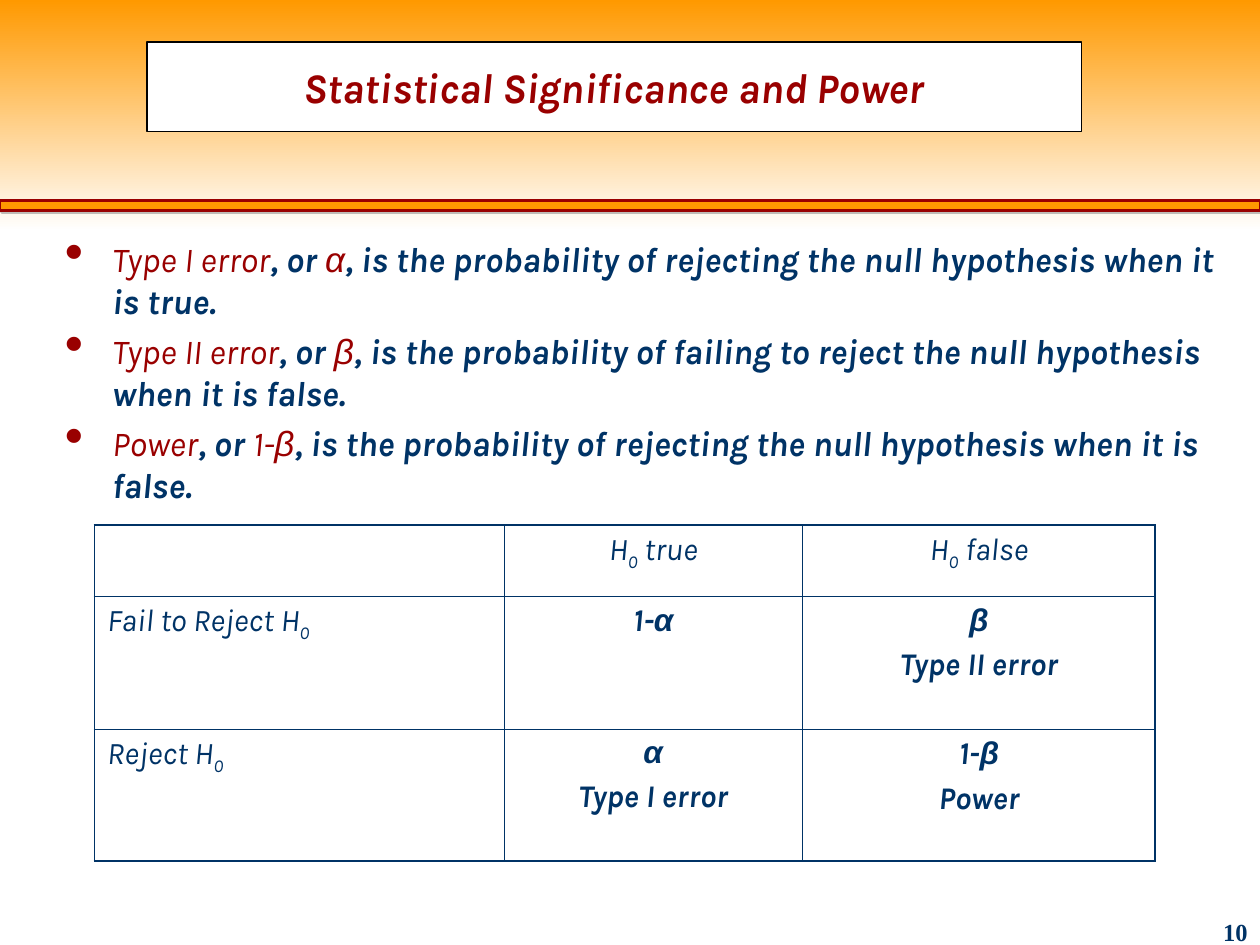
"""Build a slide on statistical significance and power with a decision table."""

from dataclasses import dataclass

from lxml import etree
from pptx import Presentation
from pptx.dml.color import RGBColor
from pptx.enum.shapes import MSO_SHAPE
from pptx.enum.text import MSO_ANCHOR, MSO_AUTO_SIZE, PP_ALIGN
from pptx.oxml.ns import qn
from pptx.util import Pt

RECTANGLE = MSO_SHAPE.RECTANGLE
LEFT, CENTER, RIGHT = PP_ALIGN.LEFT, PP_ALIGN.CENTER, PP_ALIGN.RIGHT
MIDDLE = MSO_ANCHOR.MIDDLE
NO_AUTOFIT = MSO_AUTO_SIZE.NONE
TITLE_ONLY = 5

NAVY, MAROON, ORANGE, WHITE, BLACK = "003366", "990000", "FF9900", "FFFFFF", "000000"
SHADOW_GRAY = "808080"
TEXT_FONT, GREEK_FONT, NUMBER_FONT = "Karla", "Arial", "Times New Roman"
OUTER_BORDER, INNER_BORDER = Pt(1.08), Pt(0.45)
COLUMN_WIDTHS = (234, 170.6, 201.6)
ROW_HEIGHTS = (41, 75.6, 75.6)


@dataclass(frozen=True)
class Piece:
    """A stretch of text in one format."""

    text: str
    bold: bool = True
    color: str = NAVY
    subscript: bool = False
    italic: bool = True
    font: str = TEXT_FONT


@dataclass(frozen=True)
class Definition:
    """A bulleted term with its symbol and meaning."""

    term: str
    symbol: tuple[str, ...]
    meaning: str
    space_before: float


DEFINITIONS = (
    Definition("Type I error", ("α",), "rejecting the null hypothesis when it is true.", 5),
    Definition("Type II error", ("β",), "failing to reject the null hypothesis when it is false.", 5),
    Definition("Power", ("1-", "β"), "rejecting the null hypothesis when it is false.", 4.5),
)


def rgb(color: str) -> RGBColor:
    """Turn a hex string into a colour."""
    return RGBColor.from_string(color)


def add_child(parent, tag: str, **attributes: str):
    """Append a DrawingML element to its parent."""
    return etree.SubElement(parent, qn(tag), attributes)


def write_pieces(paragraph, pieces: tuple[Piece, ...], size: float) -> None:
    """Write formatted pieces into a paragraph."""
    for piece in pieces:
        run = paragraph.add_run()
        run.text = piece.text
        font = run.font
        font.name = GREEK_FONT if piece.text in ("α", "β") else piece.font
        font.size = Pt(size)
        font.bold = piece.bold
        font.italic = piece.italic
        font.color.rgb = rgb(piece.color)
        if piece.subscript:
            font._element.set("baseline", "-25000")


def add_text_frame(slide, left: float, top: float, width: float, height: float):
    """Add a wrapping text box and return its text frame."""
    text_frame = slide.shapes.add_textbox(Pt(left), Pt(top), Pt(width), Pt(height)).text_frame
    text_frame.word_wrap = True
    return text_frame


def add_header(slide) -> None:
    """Draw the gradient header and the rule below it."""
    header = slide.shapes.add_shape(RECTANGLE, 0, 0, Pt(720), Pt(132))
    header.shadow.inherit = False
    header.line.fill.background()
    header.fill.gradient()
    header.fill.gradient_angle = 270
    for stop, color in zip(header.fill.gradient_stops, (ORANGE, WHITE)):
        stop.color.rgb = rgb(color)

    rule = slide.shapes.add_shape(RECTANGLE, 0, Pt(114.5), Pt(720), Pt(6))
    rule.fill.solid()
    rule.fill.fore_color.rgb = rgb(ORANGE)
    rule.line.color.rgb = rgb(MAROON)
    rule.line.width = Pt(1.5)
    rule.shadow.inherit = False
    effects = rule._element.spPr.find(qn("a:effectLst"))
    shadow = add_child(effects, "a:outerShdw", dist=str(Pt(1.4)), dir="2700000")
    shadow_color = add_child(shadow, "a:srgbClr", val=SHADOW_GRAY)
    add_child(shadow_color, "a:alpha", val="50000")


def format_title(slide) -> None:
    """Place the boxed title in front of the header."""
    title = slide.shapes.title
    slide.shapes.element.append(title.element)
    title.left, title.top, title.width, title.height = Pt(84), Pt(24), Pt(534), Pt(51)
    title.fill.solid()
    title.fill.fore_color.rgb = rgb(WHITE)
    title.line.color.rgb = rgb(BLACK)
    title.line.width = Pt(0.75)
    text_frame = title.text_frame
    text_frame.auto_size = NO_AUTOFIT
    text_frame.vertical_anchor = MIDDLE
    text_frame.margin_top = text_frame.margin_bottom = Pt(10.8)
    paragraph = text_frame.paragraphs[0]
    paragraph.alignment = CENTER
    write_pieces(paragraph, (Piece("Statistical Significance and Power", color=MAROON),), 24)


def set_bullet(paragraph) -> None:
    """Give a paragraph a hanging maroon bullet."""
    properties = paragraph._p.get_or_add_pPr()
    properties.set("marL", str(Pt(27)))
    properties.set("indent", str(Pt(-27)))
    add_child(add_child(properties, "a:buClr"), "a:srgbClr", val=MAROON)
    add_child(properties, "a:buSzPct", val="155000")
    add_child(properties, "a:buChar", char="•")


def add_definitions(slide) -> None:
    """Add the bulleted definitions."""
    text_frame = add_text_frame(slide, 30, 132, 672, 161)
    for index, definition in enumerate(DEFINITIONS):
        paragraph = text_frame.add_paragraph() if index else text_frame.paragraphs[0]
        paragraph.space_before = Pt(definition.space_before)
        set_bullet(paragraph)
        symbol = (Piece(part, False, MAROON) for part in definition.symbol)
        pieces = (
            Piece(definition.term, False, MAROON),
            Piece(", or "),
            *symbol,
            Piece(f", is the probability of {definition.meaning}"),
        )
        write_pieces(paragraph, pieces, 20)


def hypothesis(before: str, after: str = "") -> tuple[Piece, ...]:
    """Return a label around the null hypothesis symbol."""
    label = (Piece(f"{before}H", False), Piece("0", False, subscript=True))
    return label + ((Piece(after, False),) if after else ())


def set_borders(cell, row: int, column: int) -> None:
    """Draw thick borders on the table's outside and thin ones inside."""
    properties = cell._tc.get_or_add_tcPr()
    outside = {
        "a:lnL": column == 0,
        "a:lnR": column == len(COLUMN_WIDTHS) - 1,
        "a:lnT": row == 0,
        "a:lnB": row == len(ROW_HEIGHTS) - 1,
    }
    for tag, is_outer in outside.items():
        line = add_child(properties, tag, w=str(OUTER_BORDER if is_outer else INNER_BORDER))
        add_child(add_child(line, "a:solidFill"), "a:srgbClr", val=NAVY)


def add_decision_table(slide) -> None:
    """Add the table of decisions against the truth of the hypothesis."""
    alpha, beta, one_minus = Piece("α"), Piece("β"), Piece("1-")
    rows = (
        ((), (hypothesis("", " true"),), (hypothesis("", " false"),)),
        ((hypothesis("Fail to Reject "),), ((one_minus, alpha),), ((beta,), (Piece("Type II error"),))),
        ((hypothesis("Reject "),), ((alpha,), (Piece("Type I error"),)), ((one_minus, beta), (Piece("Power"),))),
    )
    frame = slide.shapes.add_table(len(ROW_HEIGHTS), len(COLUMN_WIDTHS), Pt(54), Pt(300), Pt(606.2), Pt(192.2))
    table = frame.table
    table.first_row = table.horz_banding = False
    for column, width in zip(table.columns, COLUMN_WIDTHS):
        column.width = Pt(width)
    for row_index, (contents, height) in enumerate(zip(rows, ROW_HEIGHTS)):
        table.rows[row_index].height = Pt(height)
        for column_index, lines in enumerate(contents):
            cell = table.cell(row_index, column_index)
            set_borders(cell, row_index, column_index)
            cell.fill.background()
            for line_index, pieces in enumerate(lines):
                text_frame = cell.text_frame
                paragraph = text_frame.add_paragraph() if line_index else text_frame.paragraphs[0]
                paragraph.alignment = CENTER if column_index else LEFT
                paragraph.space_before = Pt(4.5)
                write_pieces(paragraph, pieces, 18)


def add_slide_number(slide) -> None:
    """Add the slide number in the lower right corner."""
    paragraph = add_text_frame(slide, 666, 520.5, 54, 19.5).paragraphs[0]
    paragraph.alignment = RIGHT
    write_pieces(paragraph, (Piece("10", italic=False, font=NUMBER_FONT),), 14)


def main() -> None:
    """Build and save the presentation."""
    presentation = Presentation()
    presentation.slide_width, presentation.slide_height = Pt(720), Pt(540)
    slide = presentation.slides.add_slide(presentation.slide_layouts[TITLE_ONLY])
    add_header(slide)
    format_title(slide)
    add_definitions(slide)
    add_decision_table(slide)
    add_slide_number(slide)
    presentation.save("out.pptx")


if __name__ == "__main__":
    main()
